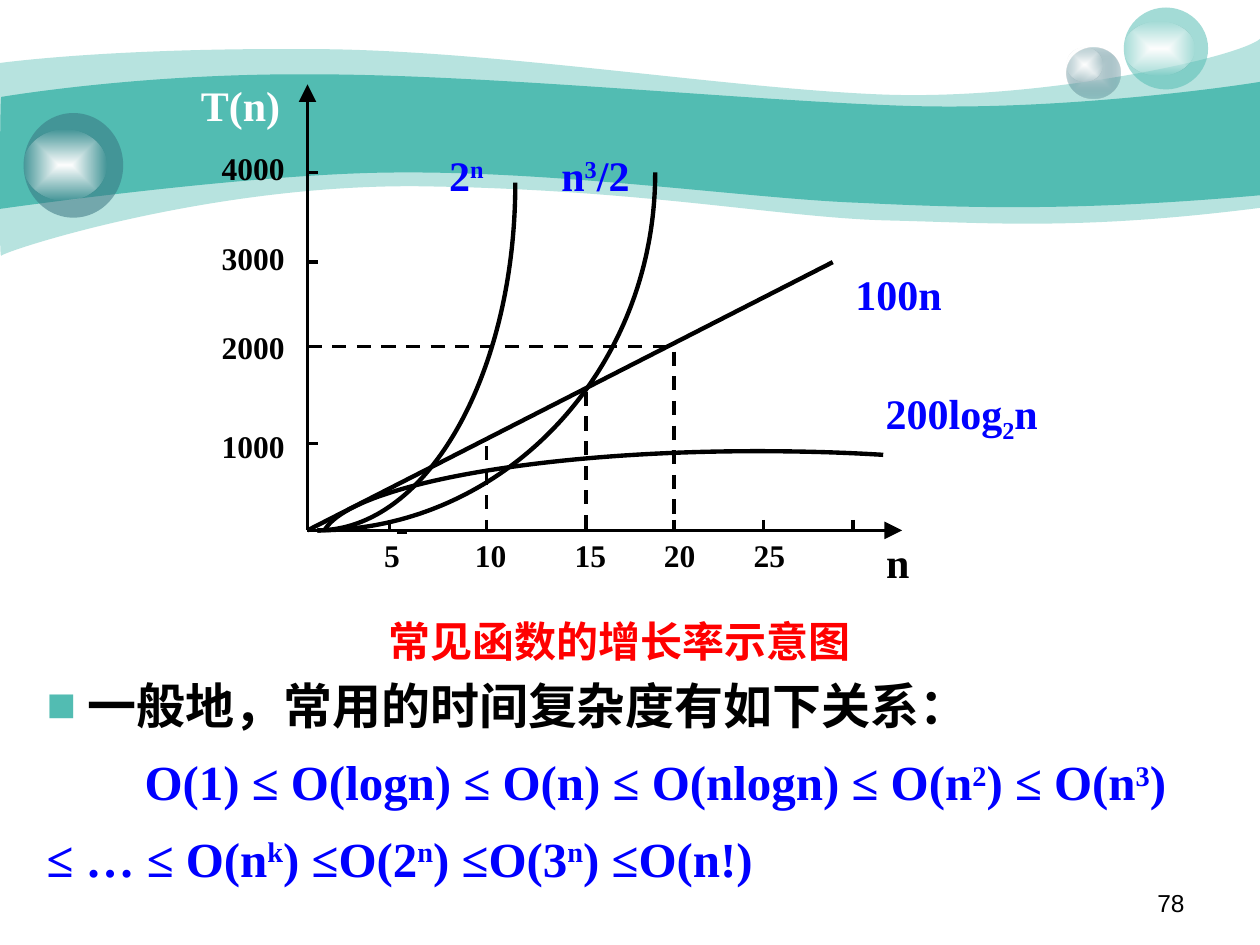
from pptx import Presentation, oxml
from pptx import util as u
from pptx.dml.color import RGBColor
from pptx.enum import dml, shapes, text
from pptx.oxml import ns

Pt = u.Pt
TEAL = RGBColor(0x52, 0xBC, 0xB2)
SLATE = RGBColor(0x37, 0x73, 0x7F)
MIST = RGBColor(0xCC, 0xDB, 0xDE)
WHITE = RGBColor(0xFF, 0xFF, 0xFF)
BLACK = RGBColor(0, 0, 0)
BLUE = RGBColor(0, 0, 0xFF)
RED = RGBColor(0xFF, 0, 0)
SERIF = "Times New Roman"
LEFT, CENTER, RIGHT = text.PP_ALIGN.LEFT, text.PP_ALIGN.CENTER, text.PP_ALIGN.RIGHT
SUPER, SUB = 30, -25

# Outlines: a start point, then lines (x, y) and curves (two controls, end point).
BANDS = [
    (41, [(0, 36), (17.3, 33.8, 77, 27.4, 177.8, 28.1),
          (277.9, 28.1, 414, 50.4, 503.3, 54), (591.8, 57.6, 705.6, 33.8, 720, 22.3),
          (720, 118.8), (617.8, 131.8, 566.6, 127.4, 507.6, 126),
          (447.8, 124.6, 370.8, 108.7, 247, 106.6), (123.8, 103.7, 2.9, 143.3, 0.7, 146.2),
          (-0.7, 149.8, 0, 54, 0, 36)]),
    (100, [(0.7, 55.4), (1.4, 55.4, 79.2, 41.8, 178.6, 42.5),
           (277.9, 42.5, 428.4, 57.6, 517, 60.5), (605.5, 63.4, 702.7, 49.7, 720, 46.8),
           (720, 111.6), (614.2, 121, 550.8, 118.8, 491, 115.9),
           (431.3, 113.8, 321.8, 97.9, 228.2, 98.6), (146.2, 98.6, -1.4, 119.5, -0.7, 119.5),
           (0, 119.5, 0, 55.4, 0.7, 55.4)]),
]
# Ellipses: box, then (colour, opacity) at the centre and at the rim.
BUBBLES = [
    ((609.8, 27.4, 30.2, 28.8), (MIST, 100), (SLATE, 31)),
    ((609.8, 27.4, 20.2, 19.4), (WHITE, 100), (WHITE, 0)),
    ((642.2, 4.3, 48.2, 46.8), (TEAL, 53), None),
    ((642.2, 12.2, 40.3, 31), (WHITE, 100), (WHITE, 0)),
    ((13.5, 64.6, 56.9, 59.8), (SLATE, 53), None),
    ((13.5, 74.2, 47.5, 40.3), (WHITE, 100), (WHITE, 0)),
]

ORIGIN_X, ORIGIN_Y = 175.7, 303.1
AXIS_TOP, AXIS_RIGHT = 48.2, 515.5
TICK = 6
# Ticks: place on the axis, value, left or top of the value's box.
X_TICKS = [(222.5, "5", 204.2), (277.9, "10", 260.6), (334.8, "15", 317.5),
           (385.2, "20", 368.6), (436.3, "25", 419.8), (487.4, None, None)]
Y_TICKS = [(253.4, "1000", 240.5), (198, "2000", 184),
           (149.8, "3000", 132.8), (98.6, "4000", 81.8)]
GUIDES = [(277.9, 254.9, 277.9, 297.4), (334.8, 223.9, 334.8, 303.8),
          (385.2, 200.9, 385.2, ORIGIN_Y), (ORIGIN_X, 198, 380.2, 198)]
CURVES = [
    [(504.7, 259.9), (481.7, 258.5, 457.2, 257.8, 432.7, 257.8),
     (307.4, 257.8, 201.6, 277.2, 185.8, 302.4)],
    [(181.4, 303.1), (288, 303.1, 374.4, 211.7, 374.4, 98.6)],
    [(181.4, 303.1), (244.1, 303.1, 294.5, 213.8, 294.5, 104.4)],
]
# Names in the plot: spans, box, colour, alignment.
NAMES = [
    (["T(n)"], (107.7, 41.8, 90.7, 36), WHITE, LEFT),
    (["n"], (493.2, 303.1, 39.6, 36), BLACK, CENTER),
    (["2", ("n", SUPER)], (238, 81.7, 56.9, 36), BLUE, CENTER),
    (["n", ("3", SUPER), "/2"], (311.8, 81.7, 56.9, 36), BLUE, CENTER),
    (["100n"], (481.7, 149.8, 130.3, 36), BLUE, LEFT),
    (["200log", ("2", SUB), "n"], (499, 217.7, 124.6, 40.3), BLUE, LEFT),
]
CAPTION = ["常见函数的增长率示意图"]
LEAD = ["一般地，常用的时间复杂度有如下关系："]
ORDERS = ["O(1) ≤ O(logn) ≤ O(n) ≤ O(nlogn) ≤ O(n", ("2", SUPER), ") ≤ O(n", ("3", SUPER),
          ") ≤ … ≤ O(n", ("k", SUPER), ") ≤O(2", ("n", SUPER), ") ≤O(3", ("n", SUPER),
          ") ≤O(n!)"]


def write(para, spans, size=24, color=BLACK, align=LEFT, font=SERIF, bold=True):
    """Fill a paragraph; a span is text or (text, baseline shift in percent)."""
    para.alignment = align
    for item in spans:
        words, shift = item if isinstance(item, tuple) else (item, 0)
        span = para.add_run()
        span.text = words
        span.font.name, span.font.size, span.font.bold = font, Pt(size), bold
        span.font.color.rgb = color
        if shift:
            span.font._element.set("baseline", str(shift * 1000))


def label(page, spans, box, **style):
    frame = page.shapes.add_textbox(*map(Pt, box)).text_frame
    frame.word_wrap = True
    write(frame.paragraphs[0], spans, **style)


def place(holder, box):
    holder.left, holder.top, holder.width, holder.height = map(Pt, box)
    frame = holder.text_frame
    frame.word_wrap, frame.auto_size = True, text.MSO_AUTO_SIZE.NONE
    frame.vertical_anchor = text.MSO_ANCHOR.TOP
    return frame


def line(page, x1, y1, x2, y2, width=2, dashed=False, arrow=False):
    link = page.shapes.add_connector(shapes.MSO_CONNECTOR.STRAIGHT, *map(Pt, (x1, y1, x2, y2)))
    link.line.color.rgb, link.line.width = BLACK, Pt(width)
    if dashed:
        link.line.dash_style = dml.MSO_LINE.DASH
    properties = link._element.spPr
    if arrow:
        stroke = properties.find(ns.qn("a:ln"))
        stroke.append(oxml.parse_xml(
            f'<a:tailEnd {ns.nsdecls("a")} type="triangle" w="lg" len="lg"/>'))
    properties.append(oxml.parse_xml(f'<a:effectLst {ns.nsdecls("a")}/>'))


def outline(page, segments, closed):
    """Build a freeform through all points, then join each curve's three into a Bézier."""
    points = [(Pt(x), Pt(y)) for part in segments for x, y in zip(part[::2], part[1::2])]
    builder = page.shapes.build_freeform(*points[0])
    builder.add_line_segments(points[1:], close=closed)
    shape = builder.convert_to_shape()
    shape.shadow.inherit = False
    steps = iter(list(shape._element.iter(ns.qn("a:lnTo"))))
    for part in segments[1:]:
        first = next(steps)
        if len(part) == 6:
            curve = oxml.parse_xml(f'<a:cubicBezTo {ns.nsdecls("a")}/>')
            first.addprevious(curve)
            for step in (first, next(steps), next(steps)):
                curve.append(step[0])
                step.getparent().remove(step)
    return shape


def paint(shape, center, rim=None):
    """Fill with one colour, or with a gradient from centre to rim."""
    def tint(color, opacity):
        return f'<a:srgbClr val="{color}"><a:alpha val="{opacity * 1000}"/></a:srgbClr>'

    shape.line.fill.background()
    shape.fill.solid()
    if rim:
        fill = (f'<a:gradFill {ns.nsdecls("a")}><a:gsLst><a:gs pos="0">{tint(*center)}</a:gs>'
                f'<a:gs pos="100000">{tint(*rim)}</a:gs></a:gsLst><a:path path="rect">'
                '<a:fillToRect l="50000" t="50000" r="50000" b="50000"/></a:path></a:gradFill>')
    else:
        fill = f'<a:solidFill {ns.nsdecls("a")}>{tint(*center)}</a:solidFill>'
    properties = shape._element.spPr
    properties.replace(properties.find(ns.qn("a:solidFill")), oxml.parse_xml(fill))


def draw_backdrop(page):
    for opacity, segments in BANDS:
        paint(outline(page, segments, closed=True), (TEAL, opacity))
    for box, center, rim in BUBBLES:
        bubble = page.shapes.add_shape(shapes.MSO_SHAPE.OVAL, *map(Pt, box))
        bubble.shadow.inherit = False
        paint(bubble, center, rim)


def draw_plot(page):
    line(page, ORIGIN_X, ORIGIN_Y, 475.9, 149.8, width=2.5)
    line(page, ORIGIN_X, ORIGIN_Y, ORIGIN_X, AXIS_TOP, arrow=True)
    line(page, ORIGIN_X, ORIGIN_Y, AXIS_RIGHT, ORIGIN_Y, arrow=True)
    line(page, 226.8, 304.6, 232.6, 304.6, width=0.75)
    for x, value, left in X_TICKS:
        line(page, x, ORIGIN_Y - TICK, x, ORIGIN_Y)
        if value:
            label(page, [value], (left, 302.8, 39.6, 28.8), size=18, align=CENTER)
    for y, value, top in Y_TICKS:
        line(page, ORIGIN_X, y, ORIGIN_X + TICK, y)
        label(page, [value], (102.2, top, 85, 28.8), size=18, align=CENTER)
    for guide in GUIDES:
        line(page, *guide, dashed=True)
    for segments in CURVES:
        curve = outline(page, segments, closed=False)
        curve.fill.background()
        curve.line.color.rgb, curve.line.width = BLACK, Pt(2.5)
    for spans, box, color, align in NAMES:
        label(page, spans, box, color=color, align=align)


def write_list(frame):
    lead, orders = frame.paragraphs[0], frame.add_paragraph()
    bullet = [f'<a:buClr {ns.nsdecls("a")}><a:srgbClr val="{TEAL}"/></a:buClr>',
              f'<a:buFont {ns.nsdecls("a")} typeface="{SERIF}"/>',
              f'<a:buChar {ns.nsdecls("a")} char="■"/>']
    plain = [f'<a:buNone {ns.nsdecls("a")}/>']
    for para, spans, color, margin, indent, marks in (
            (lead, LEAD, BLACK, 23.5, -23.5, bullet), (orders, ORDERS, BLUE, 0, 56, plain)):
        para.line_spacing, para.space_before = 1.3, Pt(0)
        properties = para._p.get_or_add_pPr()
        properties.set("marL", str(Pt(margin)))
        properties.set("indent", str(Pt(indent)))
        for mark in marks:
            properties.append(oxml.parse_xml(mark))
        write(para, spans, size=28, color=color)


def main():
    deck = Presentation()
    deck.slide_width, deck.slide_height = Pt(720), Pt(540)
    page = deck.slides.add_slide(deck.slide_layouts[1])
    draw_backdrop(page)
    draw_plot(page)
    caption = place(page.shapes.title, (169.9, 348, 368.6, 36))
    write(caption.paragraphs[0], CAPTION, color=RED, align=CENTER)
    write_list(place(page.placeholders[1], (19.4, 372.2, 674.6, 138.2)))
    label(page, ["78"], (516.2, 504, 167.8, 25.2), size=14, align=RIGHT,
          font="Arial", bold=False)
    deck.save("out.pptx")


if __name__ == "__main__":
    main()
